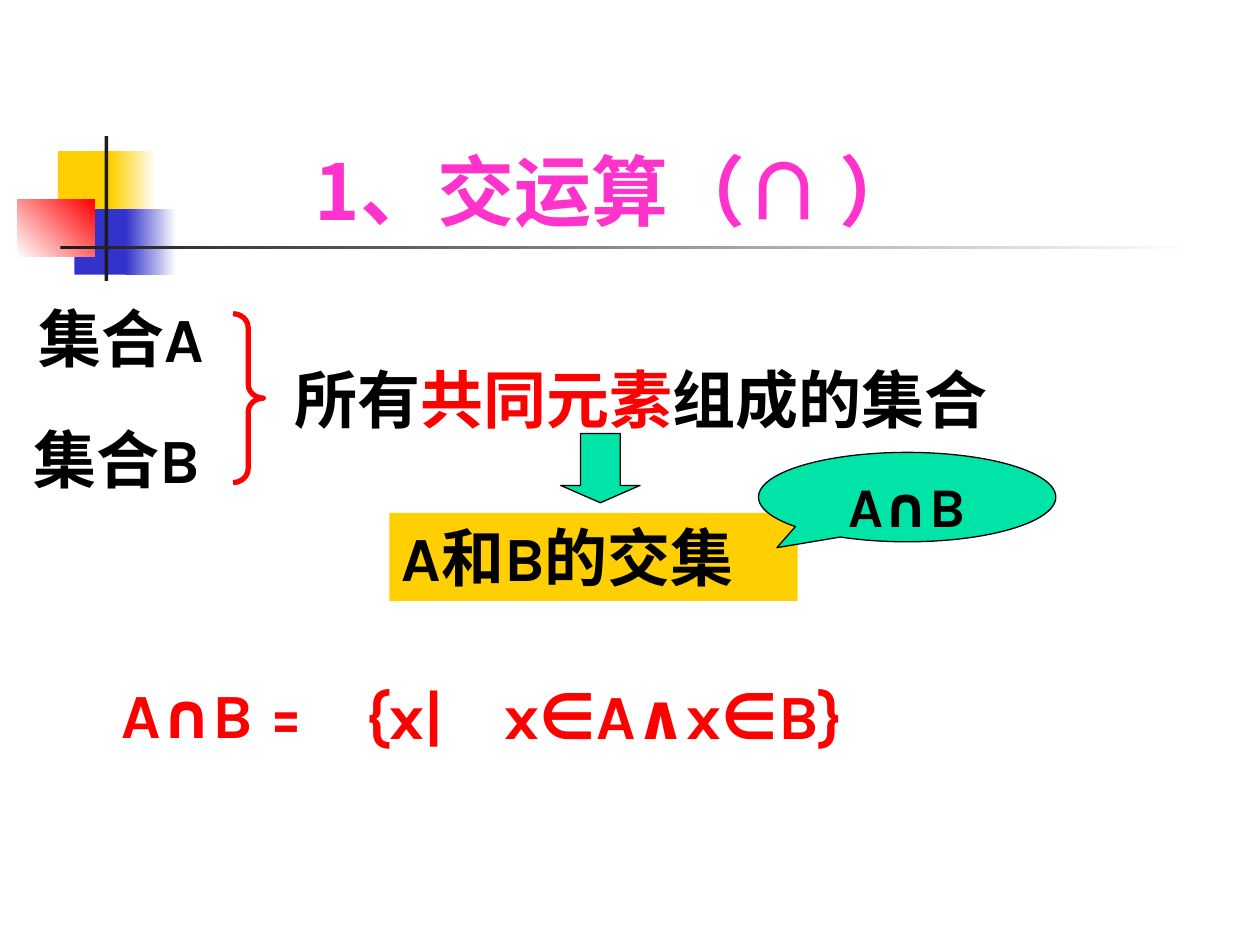
from lxml import etree
from pptx import Presentation
from pptx.dml.color import RGBColor
from pptx.enum.shapes import MSO_SHAPE
from pptx.enum.text import MSO_ANCHOR, PP_ALIGN
from pptx.oxml.ns import qn
from pptx.util import Inches, Pt

RECT, ARROW = MSO_SHAPE.RECTANGLE, MSO_SHAPE.DOWN_ARROW
BRACE, CALLOUT = MSO_SHAPE.RIGHT_BRACE, MSO_SHAPE.OVAL_CALLOUT
TOP, BOTTOM = MSO_ANCHOR.TOP, MSO_ANCHOR.BOTTOM
LEFT, CENTER = PP_ALIGN.LEFT, PP_ALIGN.CENTER
LATIN, CJK = "Karla", "Noto Sans CJK JP"
BLACK, WHITE, RED, PINK = "000000", "FFFFFF", "FF0000", "FF33CC"
GOLD, BLUE, MINT, DARK = "FFCF01", "3333CC", "00E4A8", "1C1C1C"
BOX_HEIGHT = 0.7


def rgb(value):
    return RGBColor.from_string(value)


def inches(box):
    return [Inches(v) for v in box]


def add_shape(s, kind, box, fill=None, line=None, width=0.75, adj=()):
    sp = s.shapes.add_shape(kind, *inches(box))
    sp.shadow.inherit = False
    if fill:
        sp.fill.solid()
        sp.fill.fore_color.rgb = rgb(fill)
    else:
        sp.fill.background()
    if line:
        sp.line.color.rgb = rgb(line)
        sp.line.width = Pt(width)
    else:
        sp.line.fill.background()
    for i, value in enumerate(adj):
        sp.adjustments[i] = value
    return sp


def add_fade(s, box, start, end, angle=0):
    """Rectangle with a two-colour gradient; the angle runs counter-clockwise."""
    fill = add_shape(s, RECT, box, start).fill
    fill.gradient()
    fill.gradient_angle = angle
    for stop, color, place in zip(fill.gradient_stops, (start, end), (0, 1)):
        stop.color.rgb = rgb(color)
        stop.position = place


def write(sp, runs, size=36, font=LATIN, align=LEFT, anchor=TOP, wrap=False):
    """Fill a shape with one paragraph of (text, colour) runs."""
    tf = sp.text_frame
    tf.word_wrap, tf.vertical_anchor = wrap, anchor
    p = tf.paragraphs[0]
    p.alignment = align
    for text, color in runs:
        r = p.add_run()
        r.text = text
        for name, value in dict(name=font, size=Pt(size), bold=True).items():
            setattr(r.font, name, value)
        r.font.color.rgb = rgb(color)
        etree.SubElement(r.font._element, qn("a:ea"), typeface=CJK)


def add_label(s, left, top, width, *runs):
    write(s.shapes.add_textbox(*inches((left, top, width, BOX_HEIGHT))), runs)


def add_ornament(s):
    add_shape(s, RECT, (0.46, 1.2, 0.48, 0.52), GOLD)
    add_fade(s, (0.88, 1.2, 0.36, 0.52), GOLD, WHITE)
    add_shape(s, RECT, (0.59, 1.66, 0.46, 0.52), BLUE)
    add_fade(s, (1, 1.66, 0.4, 0.52), BLUE, WHITE)
    add_fade(s, (0.14, 1.58, 0.61, 0.46), WHITE, RED, 45)
    add_shape(s, RECT, (0.83, 1.08, 0.03, 1.15), DARK)
    add_fade(s, (0.48, 1.95, 9, 0.03), DARK, WHITE)


def add_title(s, text):
    title = s.shapes.title
    title.left, title.top, title.width, title.height = inches((0, 0.67, 9.78, 1.25))
    write(title, [(text, PINK)], 44, CJK, CENTER, BOTTOM, True)


def add_definition(s):
    add_label(s, 0.21, 2.33, 1.66, ("集合A", BLACK))
    add_label(s, 0.17, 3.29, 1.65, ("集合B", BLACK))
    add_shape(s, BRACE, (1.85, 2.49, 0.24, 1.34), line=RED, width=3, adj=(0.46, 0.5))
    add_label(s, 2.24, 2.81, 5.7,
              ("所有", BLACK), ("共同元素", RED), ("组成的集合", BLACK))
    add_shape(s, ARROW, (4.45, 3.44, 0.63, 0.55), MINT, BLACK, adj=(0.5, 0.25))
    result = add_shape(s, RECT, (3.09, 4.07, 3.24, BOX_HEIGHT), GOLD)
    write(result, [("A和B的交集", BLACK)])
    callout = add_shape(s, CALLOUT, (6.02, 3.59, 2.36, 0.71), MINT, BLACK,
                        adj=(-0.438, 0.566))
    write(callout, [("A∩B", BLACK)], 32, align=CENTER, wrap=True)


def add_formula(s):
    for left, top, width, text in ((0.87, 5.31, 1.7, "A∩B ="),
                                   (2.8, 5.32, 0.96, "{x|"),
                                   (3.91, 5.32, 2.96, "x∈A∧x∈B}")):
        add_label(s, left, top, width, (text, RED))


def main():
    prs = Presentation()
    prs.slide_width, prs.slide_height = inches((10, 7.5))
    s = prs.slides.add_slide(prs.slide_layouts[5])
    add_ornament(s)
    add_title(s, "1、交运算（∩ ）")
    add_definition(s)
    add_formula(s)
    prs.save("out.pptx")


if __name__ == "__main__":
    main()
